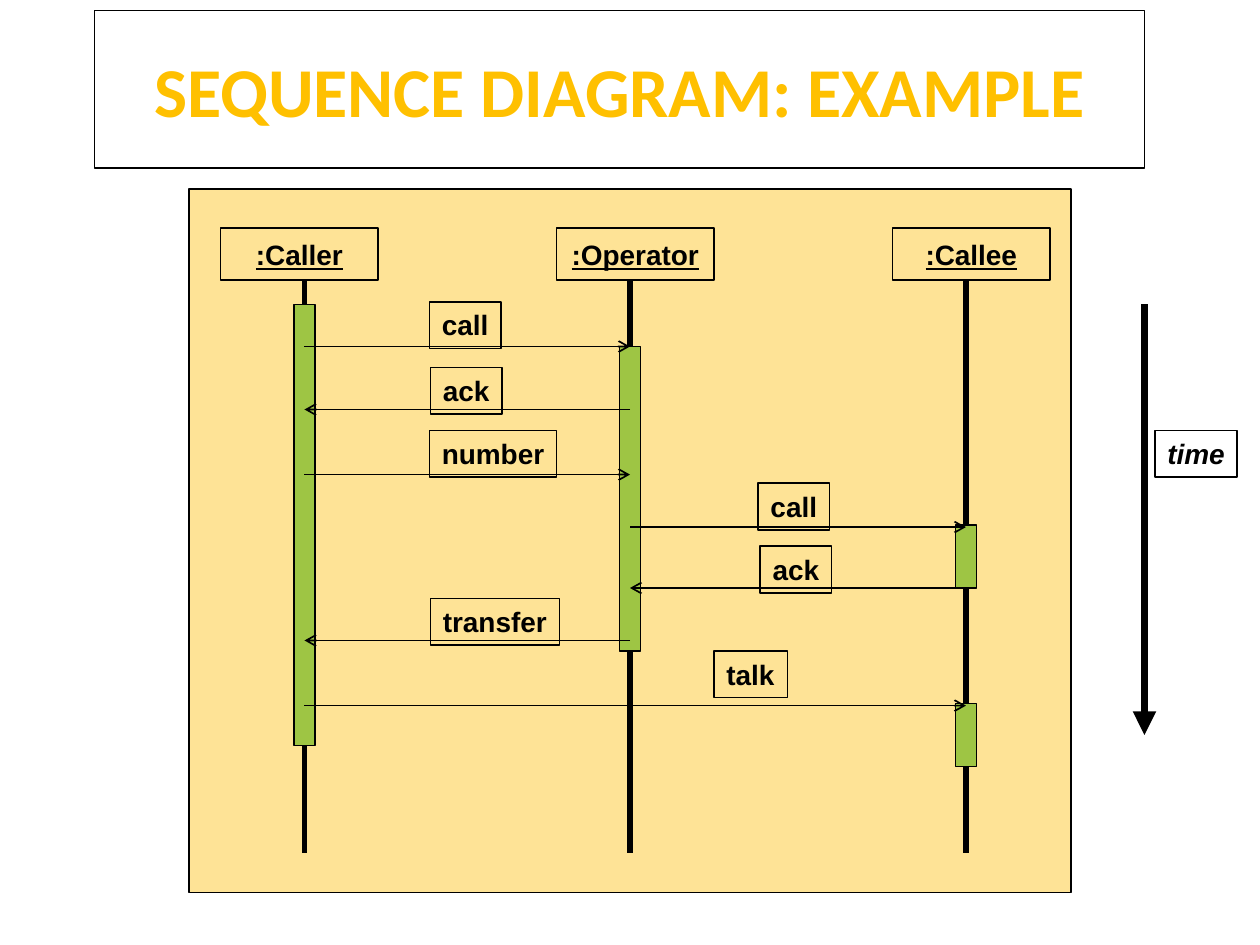
from lxml import etree
from pptx import Presentation
from pptx import util as u
from pptx.dml.color import RGBColor
from pptx.enum import shapes, text
from pptx.oxml import ns

presentation = Presentation()
presentation.slide_width, presentation.slide_height = u.Inches(10), u.Inches(7.5)
slide = presentation.slides.add_slide(presentation.slide_layouts[6])
COLUMN = presentation.slide_width / 120
ROW = presentation.slide_height / 90
BLACK, SAND, GREEN, GOLD = "000000", "FEE396", "9EC544", "FFC000"


def add_box(column, row, columns, rows, fill=None, words="", size=16, font="Arial",
            color=BLACK, line=1, centred=True, wrap=False):
    shape = slide.shapes.add_shape(
        shapes.MSO_SHAPE.RECTANGLE, round(column * COLUMN), round(row * ROW),
        round(columns * COLUMN), round(rows * ROW))
    shape.shadow.inherit = False
    if fill:
        shape.fill.solid()
        shape.fill.fore_color.rgb = RGBColor.from_string(fill)
    else:
        shape.fill.background()
    shape.line.color.rgb = RGBColor.from_string(BLACK)
    shape.line.width = u.Pt(line)
    frame = shape.text_frame
    frame.word_wrap = wrap
    frame.vertical_anchor = text.MSO_ANCHOR.MIDDLE if centred else text.MSO_ANCHOR.TOP
    paragraph = frame.paragraphs[0]
    paragraph.alignment = text.PP_ALIGN.CENTER if centred else text.PP_ALIGN.LEFT
    if words:
        run = paragraph.add_run()
        run.text = words
        run.font.name, run.font.size, run.font.bold = font, u.Pt(size), True
        run.font.color.rgb = RGBColor.from_string(color)
        return run


def add_line(start, top, end, bottom, width, head=None):
    connector = slide.shapes.add_connector(
        shapes.MSO_CONNECTOR.STRAIGHT, round(start * COLUMN), round(top * ROW),
        round(end * COLUMN), round(bottom * ROW))
    connector.line.color.rgb = RGBColor.from_string(BLACK)
    connector.line.width = u.Pt(width)
    if head:
        outline = connector.line._get_or_add_ln()
        etree.SubElement(outline, ns.qn("a:tailEnd"), type=head)
    etree.SubElement(connector._element.spPr, ns.qn("a:effectLst"))


add_box(9, 1, 100, 15, words="SEQUENCE DIAGRAM: EXAMPLE", size=40, font="Calibri",
        color=GOLD, line=0.75, wrap=True)
add_box(18, 18, 84, 67, SAND)

CALLER, OPERATOR, CALLEE = 29, 60, 92
HEAD_TOP, HEAD_ROWS = 21.75, 4.95
participants = [(":Caller", 21, CALLER), (":Operator", 53, OPERATOR), (":Callee", 85, CALLEE)]
for name, left, lifeline in participants:
    add_box(left, HEAD_TOP, 15, HEAD_ROWS, SAND, name).font.underline = True
    add_line(lifeline, HEAD_TOP + HEAD_ROWS, lifeline, 81.25, 3)

LABEL_ROWS = 4.45
add_line(109, 29, 109, 70, 4.5, "triangle")
add_box(110, 41, 7.85, LABEL_ROWS, words="time", centred=False).font.italic = True

activations = [(CALLER, 29, 42), (OPERATOR, 33, 29), (CALLEE, 50, 6), (CALLEE, 67, 6)]
for lifeline, top, rows in activations:
    add_box(lifeline - 1, top, 2, rows, GREEN)

messages = [
    ("call", CALLER, OPERATOR, 33, 40.9, 28.75, 6.8),
    ("ack", OPERATOR, CALLER, 39, 41, 35, 6.8),
    ("number", CALLER, OPERATOR, 45.2, 40.9, 41, 12.1),
    ("call", OPERATOR, CALLEE, 50.2, 72.2, 46, 6.8),
    ("ack", CALLEE, OPERATOR, 56, 72.4, 52, 6.8),
    ("talk", CALLER, CALLEE, 67.2, 68, 62, 7),
    ("transfer", OPERATOR, CALLER, 61, 41, 57, 12.3),
]
for words, sender, receiver, row, left, top, columns in messages:
    add_line(sender, row, receiver, row, 1, "arrow")
    add_box(left, top, columns, LABEL_ROWS, words=words, centred=False)

presentation.save("out.pptx")
